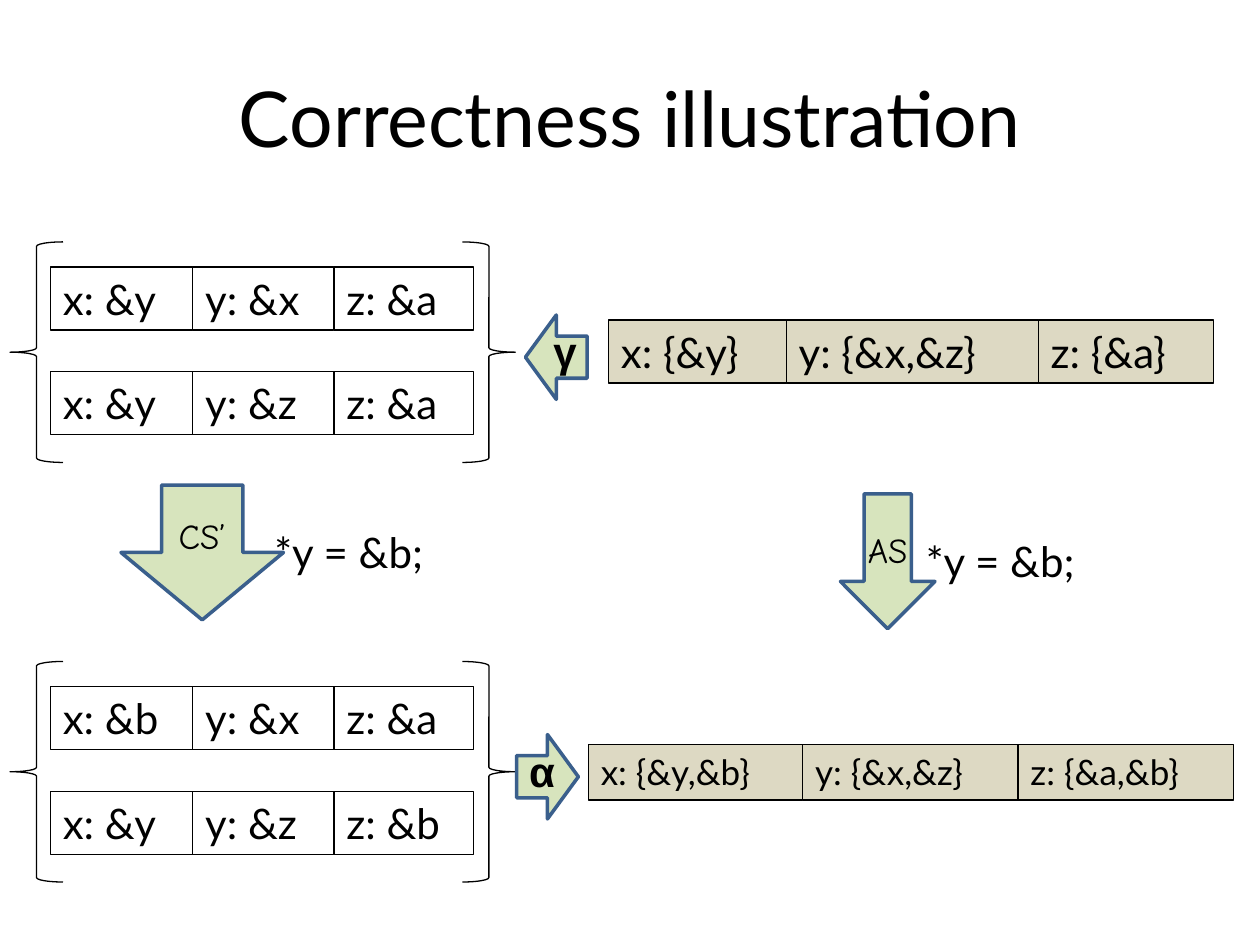
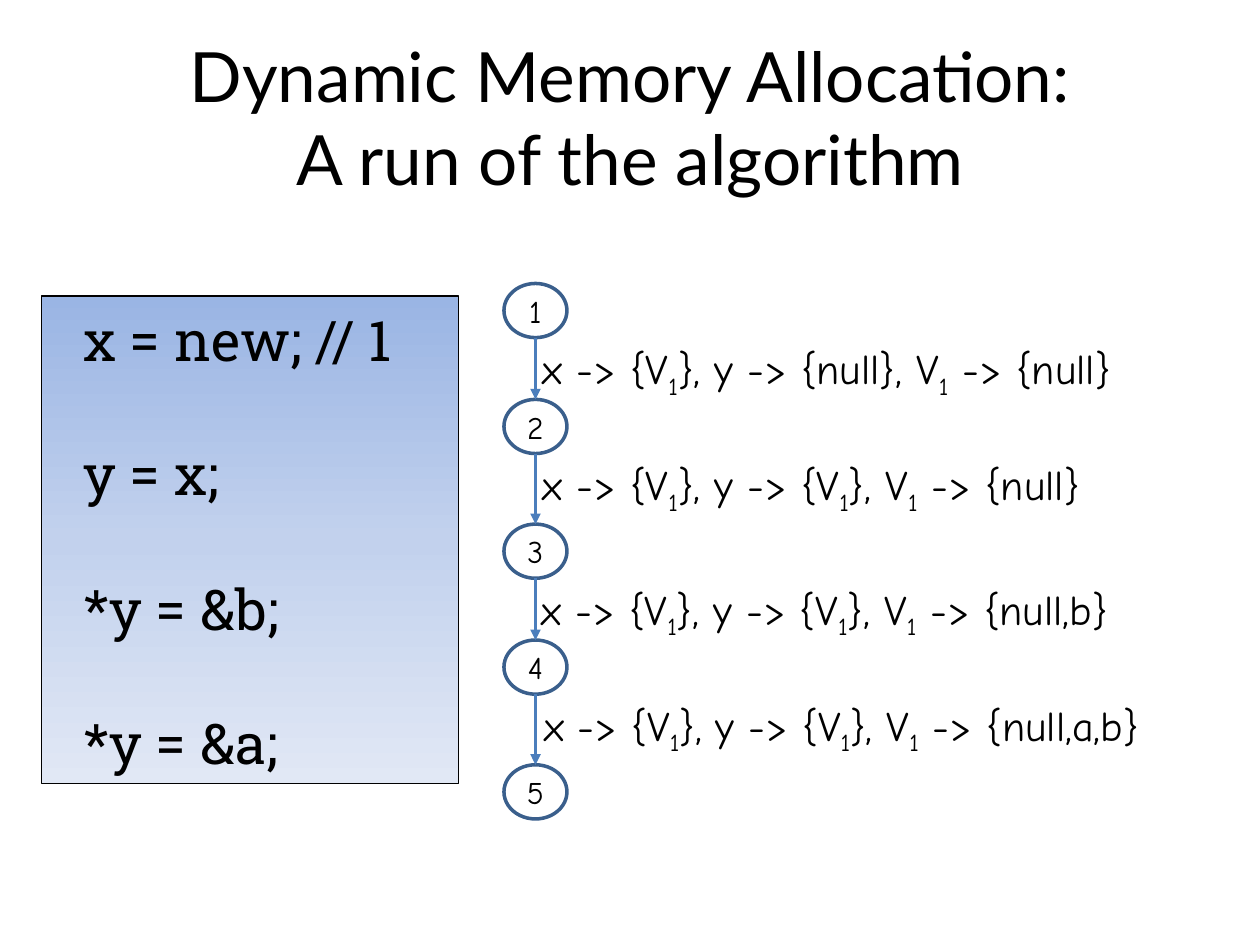
from copy import deepcopy
from dataclasses import dataclass

from lxml import etree
from pptx import Presentation
from pptx.dml.color import RGBColor
from pptx.enum.shapes import MSO_CONNECTOR, MSO_SHAPE
from pptx.enum.text import MSO_ANCHOR, MSO_AUTO_SIZE, PP_ALIGN
from pptx.oxml.ns import qn
from pptx.util import Inches, Pt

RECTANGLE = MSO_SHAPE.RECTANGLE
ELLIPSE = MSO_SHAPE.OVAL
LEFT_BRACE, RIGHT_BRACE = MSO_SHAPE.LEFT_BRACE, MSO_SHAPE.RIGHT_BRACE
DOWN, LEFT, RIGHT = MSO_SHAPE.DOWN_ARROW, MSO_SHAPE.LEFT_ARROW, MSO_SHAPE.RIGHT_ARROW
STRAIGHT = MSO_CONNECTOR.STRAIGHT
TOP, MIDDLE = MSO_ANCHOR.TOP, MSO_ANCHOR.MIDDLE
ALIGN_LEFT, ALIGN_CENTER = PP_ALIGN.LEFT, PP_ALIGN.CENTER

COLORS = {
    "text": "000000",
    "abstract": "DDD9C3",
    "arrow": "D7E4BD",
    "outline": "3A5F8C",
    "edge": "4B7EBC",
    "code_top": "9AB5E4",
    "code_middle": "C2D1ED",
    "code_bottom": "E1E8F5",
}
BODY, HAND, CODE, GREEK = "Lato", "Comic Neue", "Roboto Slab", "Arial"
TITLE_ONLY = 5


@dataclass(frozen=True)
class Box:
    left: float
    top: float
    width: float
    height: float

    def lengths(self) -> tuple:
        return tuple(Inches(v) for v in (self.left, self.top, self.width, self.height))


@dataclass(frozen=True)
class StateRow:
    cells: tuple[str, ...]
    edges: tuple[float, ...]
    top: float
    height: float = 0.5
    size: float = 24
    fill: str | None = None


@dataclass(frozen=True)
class BlockArrow:
    kind: int
    box: Box
    text: str
    font: str = HAND
    size: float = 20
    bold: bool = False
    wrap: bool = True
    margins: tuple[float, ...] = (0.1, 0.05, 0.1, 0.05)


@dataclass(frozen=True)
class Step:
    node_top: float
    state: str = ""
    state_left: float = 4.21
    state_width: float = 4.87


CONCRETE_EDGES = (0.4, 1.53, 2.65, 3.76)
CONCRETE_SETS = (
    (1.92, (("x: &y", "y: &x", "z: &a"), ("x: &y", "y: &z", "z: &a"))),
    (5.25, (("x: &b", "y: &x", "z: &a"), ("x: &y", "y: &z", "z: &b"))),
)
ABSTRACT_ROWS = (
    StateRow(("x: {&y}", "y: {&x,&z}", "z: {&a}"), (4.83, 6.24, 8.24, 9.63), 2.54,
             fill="abstract"),
    StateRow(("x: {&y,&b}", "y: {&x,&z}", "z: {&a,&b}"), (4.67, 6.37, 8.08, 9.79), 5.91,
             height=0.44, size=20, fill="abstract"),
)
STATEMENTS = (Box(7.25, 4.2, 1.67, 0.5), Box(2.08, 4.13, 1.67, 0.5))
GREEK_MARGINS = (0.1, 0, 0.1, 0.1)
BLOCK_ARROWS = (
    BlockArrow(DOWN, Box(6.67, 3.92, 0.75, 1.07), "AS", wrap=False),
    BlockArrow(DOWN, Box(0.96, 3.85, 1.29, 1.07), "CS’"),
    BlockArrow(RIGHT, Box(4.1, 5.83, 0.49, 0.67), "α", GREEK, 24, True, True, GREEK_MARGINS),
    BlockArrow(LEFT, Box(4.17, 2.5, 0.49, 0.67), "γ", GREEK, 24, True, True, GREEK_MARGINS),
)

CODE_LINES = ("x = new; // 1", "y = x;", "*y = &b;", "*y = &a;")
STEPS = (
    Step(2.25, "x -> {V1}, y -> {null}, V1 -> {null}"),
    Step(3.17, "x -> {V1}, y -> {V1}, V1 -> {null}", 4.21, 4.84),
    Step(4.16, "x -> {V1}, y -> {V1}, V1 -> {null,b}", 4.2, 5.71),
    Step(5.08, "x -> {V1}, y -> {V1}, V1 -> {null,a,b}", 4.22, 5.16),
    Step(6.07),
)
NODE_LEFT, NODE_WIDTH, NODE_HEIGHT = 4.0, 0.5, 0.43


def color(key: str) -> RGBColor:
    return RGBColor.from_string(COLORS[key])


def style_paragraph(paragraph, font: str, size: float, align=ALIGN_LEFT, bold=False) -> None:
    paragraph.alignment = align
    paragraph.font.name = font
    paragraph.font.size = Pt(size)
    paragraph.font.bold = bold
    paragraph.font.color.rgb = color("text")


def set_margins(frame, margins: tuple[float, ...]) -> None:
    (frame.margin_left, frame.margin_top,
     frame.margin_right, frame.margin_bottom) = (Inches(m) for m in margins)


def add_titled_slide(deck, title: str, size: float):
    slide = deck.slides.add_slide(deck.slide_layouts[TITLE_ONLY])
    heading = slide.shapes.title
    heading.left, heading.top, heading.width, heading.height = Box(0.5, 0.3, 9, 1.25).lengths()
    frame = heading.text_frame
    frame.text = title
    frame.auto_size = MSO_AUTO_SIZE.NONE
    frame.vertical_anchor = MIDDLE
    style_paragraph(frame.paragraphs[0], BODY, size, ALIGN_CENTER)
    return slide


def add_outlined(slide, kind, box: Box, fill: str | None = None,
                 line: str = "text", weight: float = 0.75):
    shape = slide.shapes.add_shape(kind, *box.lengths())
    shape.shadow.inherit = False
    if fill:
        shape.fill.solid()
        shape.fill.fore_color.rgb = color(fill)
    else:
        shape.fill.background()
    shape.line.color.rgb = color(line)
    shape.line.width = Pt(weight)
    return shape


def add_state_row(slide, row: StateRow) -> None:
    for text, left, right in zip(row.cells, row.edges, row.edges[1:]):
        cell = add_outlined(slide, RECTANGLE, Box(left, row.top, right - left, row.height), row.fill)
        cell.text_frame.text = text
        cell.text_frame.vertical_anchor = TOP
        style_paragraph(cell.text_frame.paragraphs[0], BODY, row.size)


def add_concrete_set(slide, top: float, states: tuple) -> None:
    for index, cells in enumerate(states):
        add_state_row(slide, StateRow(cells, CONCRETE_EDGES, top + 0.2 + 0.83 * index))
    for brace, left in ((RIGHT_BRACE, 3.67), (LEFT_BRACE, 0.08)):
        add_outlined(slide, brace, Box(left, top, 0.42, 1.75))


def add_statement(slide, box: Box) -> None:
    frame = slide.shapes.add_textbox(*box.lengths()).text_frame
    frame.word_wrap = True
    frame.text = "*y = &b;"
    style_paragraph(frame.paragraphs[0], BODY, 24)


def add_block_arrow(slide, arrow: BlockArrow) -> None:
    shape = add_outlined(slide, arrow.kind, arrow.box, "arrow", "outline", 2)
    frame = shape.text_frame
    frame.text = arrow.text
    frame.word_wrap = arrow.wrap
    frame.vertical_anchor = MIDDLE
    set_margins(frame, arrow.margins)
    style_paragraph(frame.paragraphs[0], arrow.font, arrow.size, ALIGN_CENTER, arrow.bold)


def add_code_panel(slide) -> None:
    panel = add_outlined(slide, RECTANGLE, Box(0.33, 2.35, 3.31, 3.87))
    panel.fill.gradient()
    panel.fill.gradient_angle = 270
    stop_list = next(panel._element.iter(qn("a:gsLst")))
    stop_list.insert(1, deepcopy(stop_list[0]))
    stops = zip(panel.fill.gradient_stops, (0, 0.5, 1), ("code_top", "code_middle", "code_bottom"))
    for stop, position, key in stops:
        stop.position = position
        stop.color.rgb = color(key)
    frame = panel.text_frame
    frame.text = "\n".join(CODE_LINES)
    frame.vertical_anchor = TOP
    set_margins(frame, (0.33, 0.08, 0.1, 0.05))
    for paragraph in frame.paragraphs:
        style_paragraph(paragraph, CODE, 32)
        paragraph.line_spacing = Pt(38.3)
        paragraph.space_after = Pt(38.3)
    frame.paragraphs[-1].space_after = Pt(0)


def add_node(slide, number: int, top: float):
    node = add_outlined(slide, ELLIPSE, Box(NODE_LEFT, top, NODE_WIDTH, NODE_HEIGHT),
                        line="outline", weight=2)
    frame = node.text_frame
    frame.text = str(number)
    frame.vertical_anchor = MIDDLE
    set_margins(frame, (0, 0, 0, 0))
    style_paragraph(frame.paragraphs[0], HAND, 18, ALIGN_CENTER)
    return node


def add_flow(slide, start, end) -> None:
    center = start.left + start.width // 2
    flow = slide.shapes.add_connector(STRAIGHT, center, start.top + start.height, center, end.top)
    flow.end_connect(end, 0)
    flow.line.color.rgb = color("edge")
    flow.line.width = Pt(2)
    etree.SubElement(flow.line._get_or_add_ln(), qn("a:tailEnd"), type="triangle")
    etree.SubElement(flow._element.spPr, qn("a:effectLst"))


def add_points_to_state(slide, step: Step) -> None:
    box = Box(step.state_left, step.node_top + 0.42, step.state_width, 0.5)
    frame = slide.shapes.add_textbox(*box.lengths()).text_frame
    frame.word_wrap = True
    paragraph = frame.paragraphs[0]
    style_paragraph(paragraph, HAND, 24)
    for index, part in enumerate(step.state.split("1")):
        if index:
            subscript = paragraph.add_run()
            subscript.text = "1"
            subscript._r.get_or_add_rPr().set("baseline", "-25000")
        paragraph.add_run().text = part


def build_correctness(deck) -> None:
    slide = add_titled_slide(deck, "Correctness illustration", 44)
    for row in ABSTRACT_ROWS:
        add_state_row(slide, row)
    for top, states in CONCRETE_SETS:
        add_concrete_set(slide, top, states)
    for box in STATEMENTS:
        add_statement(slide, box)
    for arrow in BLOCK_ARROWS:
        add_block_arrow(slide, arrow)


def build_allocation(deck) -> None:
    slide = add_titled_slide(deck, "Dynamic Memory Allocation:\vA run of the algorithm", 39.6)
    add_code_panel(slide)
    nodes = [add_node(slide, number, step.node_top) for number, step in enumerate(STEPS, 1)]
    for start, end, step in zip(nodes, nodes[1:], STEPS):
        add_flow(slide, start, end)
        add_points_to_state(slide, step)


def main() -> None:
    deck = Presentation()
    deck.slide_width, deck.slide_height = Inches(10), Inches(7.5)
    build_correctness(deck)
    build_allocation(deck)
    deck.save("out.pptx")


if __name__ == "__main__":
    main()
